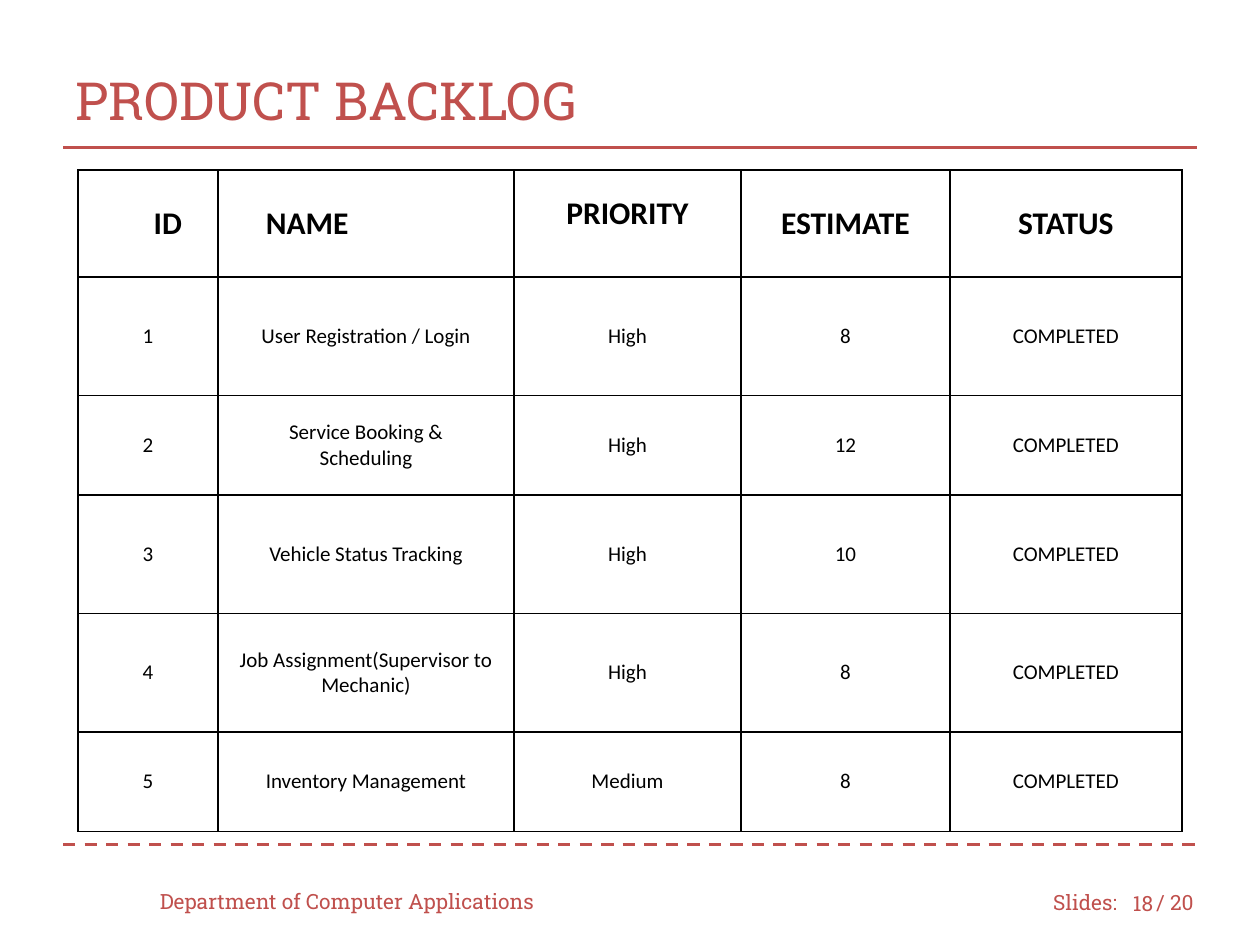
import dataclasses

import pptx
import pptx.dml.color
import pptx.enum.dml
import pptx.enum.shapes
import pptx.enum.text
import pptx.oxml.ns
import pptx.util
from lxml import etree

ALIGN = pptx.enum.text.PP_ALIGN
MIDDLE = pptx.enum.text.MSO_ANCHOR.MIDDLE
GRID_COLUMNS, GRID_ROWS = 100, 75


@dataclasses.dataclass(frozen=True)
class Theme:
    accent: str = "C0504D"
    ink: str = "000000"
    paper: str = "FFFFFF"
    display_font: str = "Roboto Slab"
    table_font: str = "Calibri"
    title_size: int = 30
    header_size: int = 18
    body_size: int = 12
    rule_width: float = 1.75
    border_width: float = 1


@dataclasses.dataclass(frozen=True)
class Column:
    """A table column; indent and lift shift its heading, in grid units."""
    heading: str
    width: float
    align: ALIGN = ALIGN.CENTER
    indent: float = 0
    lift: float = 0


def color(value):
    return pptx.dml.color.RGBColor.from_string(value)


class SlideBuilder:
    def __init__(self, presentation, theme):
        self.theme = theme
        self.column = presentation.slide_width / GRID_COLUMNS
        self.row = presentation.slide_height / GRID_ROWS
        self.slide = presentation.slides.add_slide(presentation.slide_layouts[5])

    def across(self, columns):
        return pptx.util.Emu(round(columns * self.column))

    def down(self, rows):
        return pptx.util.Emu(round(rows * self.row))

    def box(self, left, top, width, height):
        return self.across(left), self.down(top), self.across(width), self.down(height)

    def add_text(self, frame, text, size, font, ink, align=ALIGN.LEFT, bold=False):
        """Fill a text frame, one paragraph to each line of text."""
        frame.word_wrap = True
        for index, line in enumerate(text.split("\n")):
            paragraph = frame.add_paragraph() if index else frame.paragraphs[0]
            paragraph.alignment = align
            run = paragraph.add_run()
            run.text = line
            run.font.size = pptx.util.Pt(size)
            run.font.name = font
            run.font.bold = bold
            run.font.color.rgb = color(ink)

    def title(self, text, *place):
        shape = self.slide.shapes.title
        shape.left, shape.top, shape.width, shape.height = self.box(*place)
        shape.text_frame.vertical_anchor = MIDDLE
        self.add_text(shape.text_frame, text, self.theme.title_size,
                      self.theme.display_font, self.theme.accent)

    def label(self, text, *place, align=ALIGN.LEFT):
        shape = self.slide.shapes.add_textbox(*self.box(*place))
        shape.text_frame.vertical_anchor = MIDDLE
        self.add_text(shape.text_frame, text, self.theme.body_size,
                      self.theme.display_font, self.theme.accent, align)

    def rule(self, left, right, top, dashed=False):
        line = self.slide.shapes.add_connector(
            pptx.enum.shapes.MSO_CONNECTOR.STRAIGHT,
            self.across(left), self.down(top), self.across(right), self.down(top))
        line.line.color.rgb = color(self.theme.accent)
        line.line.width = pptx.util.Pt(self.theme.rule_width)
        if dashed:
            line.line.dash_style = pptx.enum.dml.MSO_LINE.DASH
        etree.SubElement(line._element.spPr, pptx.oxml.ns.qn("a:effectLst"))

    def border(self, cell):
        properties = cell._tc.get_or_add_tcPr()
        for side in ("lnL", "lnR", "lnT", "lnB"):
            edge = etree.SubElement(properties, pptx.oxml.ns.qn(f"a:{side}"),
                                    w=str(pptx.util.Pt(self.theme.border_width)))
            fill = etree.SubElement(edge, pptx.oxml.ns.qn("a:solidFill"))
            etree.SubElement(fill, pptx.oxml.ns.qn("a:srgbClr"), val=self.theme.ink)

    def cell(self, cell, text, size, align=ALIGN.CENTER, bold=False, indent=0, lift=0):
        self.border(cell)
        cell.fill.solid()
        cell.fill.fore_color.rgb = color(self.theme.paper)
        cell.vertical_anchor = MIDDLE
        cell.margin_left = self.across(1 + indent)
        cell.margin_right = self.across(1)
        cell.margin_top = self.down(1)
        cell.margin_bottom = self.down(1 + lift)
        self.add_text(cell.text_frame, text, size, self.theme.table_font,
                      self.theme.ink, align, bold)

    def table(self, left, top, columns, heights, records):
        width = sum(column.width for column in columns)
        table = self.slide.shapes.add_table(
            len(heights), len(columns),
            *self.box(left, top, width, sum(heights))).table
        for row, height in zip(table.rows, heights):
            row.height = self.down(height)
        for index, column in enumerate(columns):
            table.columns[index].width = self.across(column.width)
            self.cell(table.cell(0, index), column.heading, self.theme.header_size,
                      column.align, True, column.indent, column.lift)
        for row_index, record in enumerate(records, 1):
            for index, value in enumerate(record):
                self.cell(table.cell(row_index, index), value, self.theme.body_size)


BACKLOG_COLUMNS = [
    Column("ID", 11.1, ALIGN.LEFT, indent=5),
    Column("NAME", 23.5, ALIGN.LEFT, indent=2.8),
    Column("PRIORITY", 18, lift=1.6),
    Column("ESTIMATE", 16.6),
    Column("STATUS", 18.4),
]
ROW_HEIGHTS = [8.5, 9.4, 7.9, 9.4, 9.4, 7.9]
BACKLOG = [
    ("User Registration / Login", "High", 8),
    ("Service Booking &\nScheduling", "High", 12),
    ("Vehicle Status Tracking", "High", 10),
    ("Job Assignment(Supervisor to Mechanic)", "High", 8),
    ("Inventory Management", "Medium", 8),
]


def main():
    presentation = pptx.Presentation()
    presentation.slide_width = pptx.util.Inches(10)
    presentation.slide_height = pptx.util.Inches(7.5)
    builder = SlideBuilder(presentation, Theme())

    builder.title("PRODUCT BACKLOG", 5, 3.3, 90, 9.2)
    builder.rule(5, 95, 11.7)
    builder.rule(5, 95, 67, dashed=True)
    records = [(str(number), name, priority, str(estimate), "COMPLETED")
               for number, (name, priority, estimate) in enumerate(BACKLOG, 1)]
    builder.table(6.2, 13.5, BACKLOG_COLUMNS, ROW_HEIGHTS, records)

    builder.label("Department of Computer Applications", 11.7, 69.5, 33.3, 4)
    builder.label("Slides:", 82.6, 69.6, 7.5, 4)
    builder.label("18", 88.3, 69.7, 4.2, 4, align=ALIGN.RIGHT)
    builder.label("/ 20", 90.8, 69.6, 5.8, 4)
    presentation.save("out.pptx")


if __name__ == "__main__":
    main()
